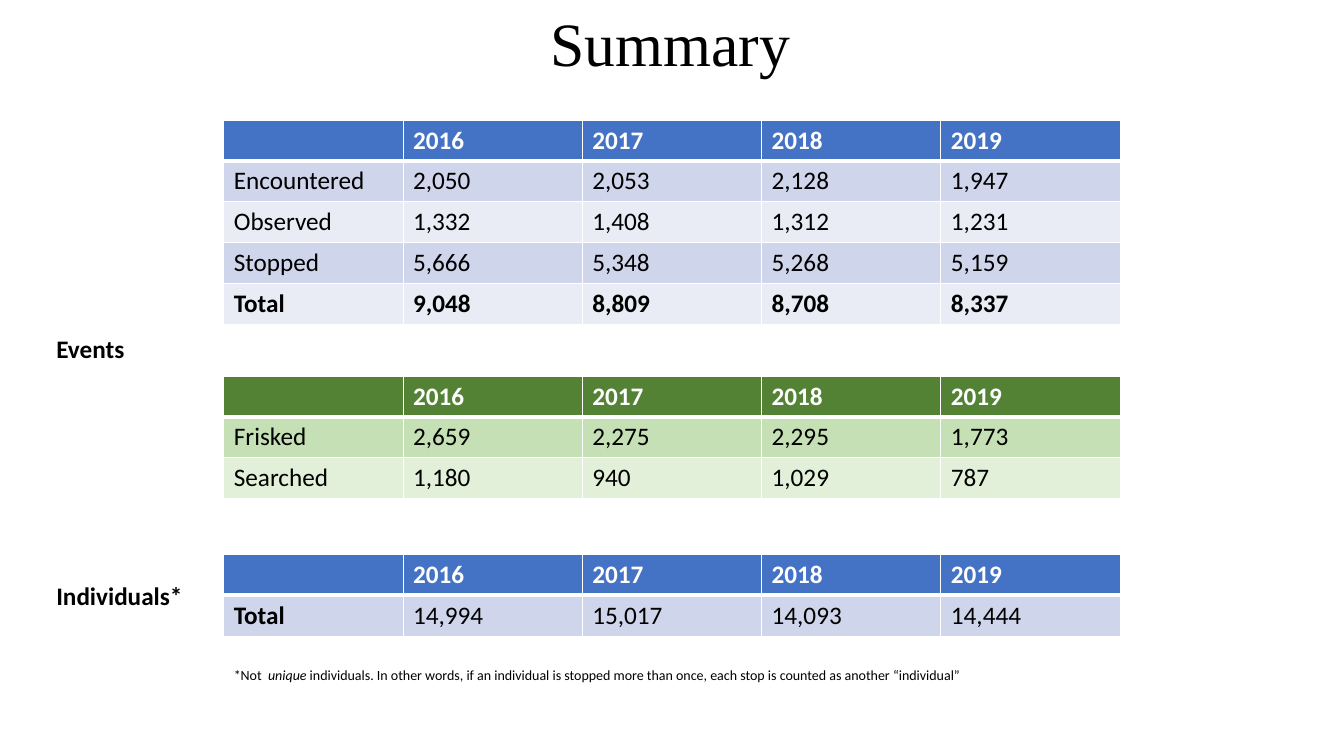
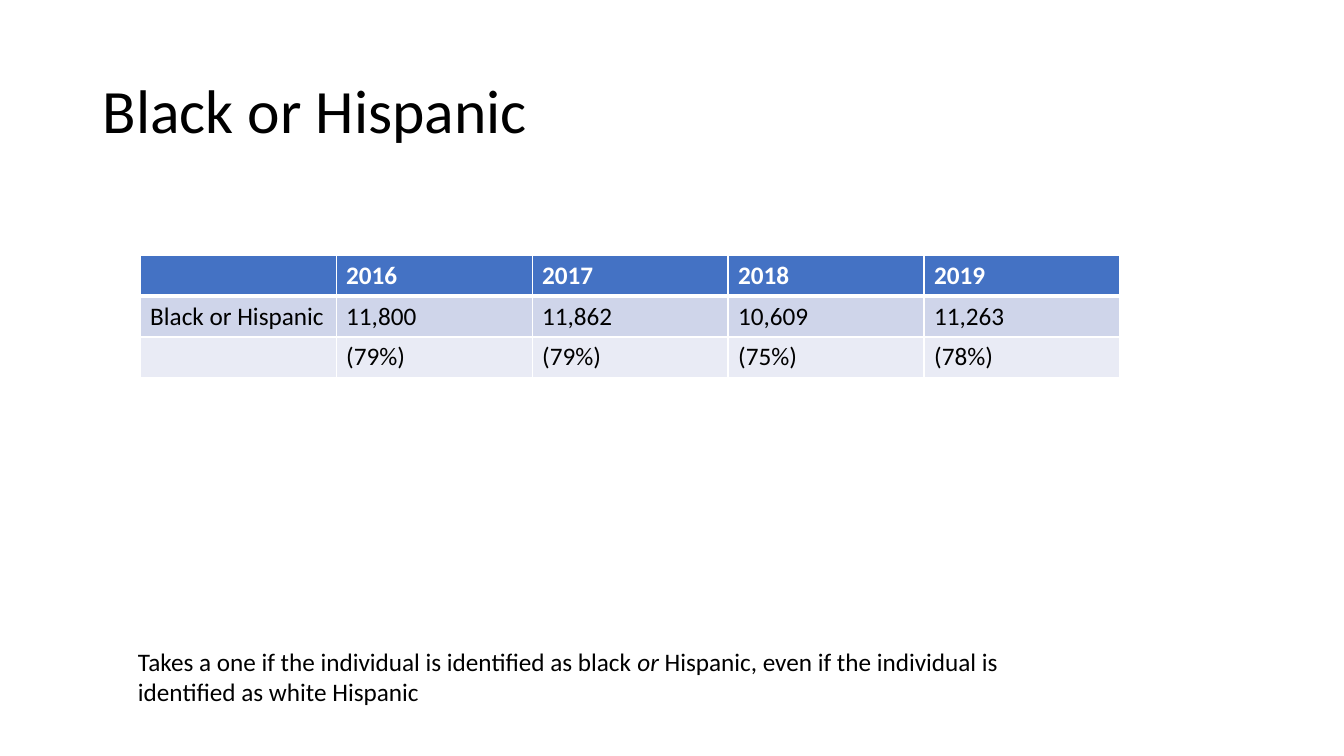
from dataclasses import dataclass
from typing import NamedTuple

from lxml.etree import SubElement
from pptx import Presentation
from pptx.dml.color import RGBColor
from pptx.enum.text import MSO_ANCHOR, MSO_AUTO_SIZE, PP_ALIGN
from pptx.oxml.ns import qn
from pptx.util import Inches, Pt


# Theme
class Bands(NamedTuple):
    head: str
    odd: str
    even: str


@dataclass(frozen=True)
class Theme:
    blue: Bands = Bands("4472C4", "CFD5EA", "E9EBF5")
    green: Bands = Bands("548235", "C5E0B4", "E2F0D9")
    ink: str = "000000"
    white: str = "FFFFFF"
    sans: str = "Calibri"
    serif: str = "Times New Roman"
    title: float = 44
    body: float = 18
    note: float = 10
    rule: float = 1
    thick: float = 3


THEME = Theme()
YEARS = ("2016", "2017", "2018", "2019")


# Parts
class Box(NamedTuple):
    left: float
    top: float
    width: float
    height: float

    def place(self) -> list:
        return [Inches(side) for side in self]


class Row(NamedTuple):
    cells: tuple
    bold: int = 0  # how many leading cells are bold


@dataclass(frozen=True)
class Grid:
    box: Box
    bands: Bands
    rows: tuple


@dataclass(frozen=True)
class Note:
    box: Box
    runs: tuple  # every second run is italic
    size: float = THEME.body
    bold: bool = False


@dataclass(frozen=True)
class Title:
    box: Box
    text: str
    face: str
    anchor: MSO_ANCHOR
    space: float


@dataclass(frozen=True)
class Page:
    title: Title
    grids: tuple
    notes: tuple


# Drawing
def style(para, size: float, color: str = THEME.ink, bold: bool = False,
          face: str = THEME.sans) -> None:
    font = para.font
    font.name, font.size, font.bold = face, Pt(size), bold
    font.color.rgb = RGBColor.from_string(color)


def edge(cell, is_head: bool) -> None:
    props = cell._tc.get_or_add_tcPr()
    for side in ("lnL", "lnR", "lnT", "lnB"):
        width = THEME.thick if is_head and side == "lnB" else THEME.rule
        line = SubElement(props, qn(f"a:{side}"), w=str(Pt(width)))
        fill = SubElement(line, qn("a:solidFill"))
        SubElement(fill, qn("a:srgbClr"), val=THEME.white)


def draw_grid(slide, grid: Grid) -> None:
    rows = (Row(("", *YEARS), len(YEARS) + 1), *grid.rows)
    width = len(YEARS) + 1
    table = slide.shapes.add_table(len(rows), width, *grid.box.place()).table
    for col in table.columns:
        col.width = Inches(grid.box.width / width)
    for r, row in enumerate(rows):
        table.rows[r].height = Inches(grid.box.height / len(rows))
        is_head = r == 0
        if is_head:
            shade = grid.bands.head
        else:
            shade = grid.bands.odd if r % 2 else grid.bands.even
        for c, text in enumerate(row.cells):
            cell = table.cell(r, c)
            edge(cell, is_head)
            cell.fill.solid()
            cell.fill.fore_color.rgb = RGBColor.from_string(shade)
            cell.text = text
            style(cell.text_frame.paragraphs[0], THEME.body,
                  THEME.white if is_head else THEME.ink, c < row.bold)


def draw_note(slide, note: Note) -> None:
    frame = slide.shapes.add_textbox(*note.box.place()).text_frame
    frame.word_wrap = True
    para = frame.paragraphs[0]
    style(para, note.size, bold=note.bold)
    for i, text in enumerate(note.runs):
        run = para.add_run()
        run.text = text
        if i % 2:
            run.font.italic = True


def draw_title(slide, title: Title) -> None:
    shape = slide.shapes.title
    shape.left, shape.top, shape.width, shape.height = title.box.place()
    frame = shape.text_frame
    frame.text = title.text
    frame.word_wrap = True
    frame.auto_size = MSO_AUTO_SIZE.NONE
    frame.vertical_anchor = title.anchor
    para = frame.paragraphs[0]
    para.alignment = PP_ALIGN.LEFT
    para.line_spacing = title.space
    style(para, THEME.title, face=title.face)


# Content
PAGES = (
    Page(
        Title(Box(5.36, 0, 4.83, 0.84), "Summary", THEME.serif,
              MSO_ANCHOR.TOP, 1.0),
        (
            Grid(Box(2.22, 1.19, 8.89, 2.03), THEME.blue, (
                Row(("Encountered", "2,050", "2,053", "2,128", "1,947")),
                Row(("Observed", "1,332", "1,408", "1,312", "1,231")),
                Row(("Stopped", "5,666", "5,348", "5,268", "5,159")),
                Row(("Total", "9,048", "8,809", "8,708", "8,337"), 5),
            )),
            Grid(Box(2.22, 3.73, 8.89, 1.22), THEME.green, (
                Row(("Frisked", "2,659", "2,275", "2,295", "1,773")),
                Row(("Searched", "1,180", "940", "1,029", "787")),
            )),
            Grid(Box(2.22, 5.5, 8.89, 0.81), THEME.blue, (
                Row(("Total", "14,994", "15,017", "14,093", "14,444"), 1),
            )),
        ),
        (
            Note(Box(0.46, 3.26, 2.61, 0.4), ("Events",), bold=True),
            Note(Box(0.46, 5.71, 2.61, 0.4), ("Individuals*",), bold=True),
            Note(Box(2.22, 6.56, 9.05, 0.27), (
                "*Not  ", "unique",
                " individuals. In other words, if an individual is stopped "
                "more than once, each stop is counted as another "
                "“individual”"), THEME.note),
        ),
    ),
    Page(
        Title(Box(0.92, 0.4, 11.5, 1.45), "Black or Hispanic", THEME.sans,
              MSO_ANCHOR.MIDDLE, 0.9),
        (
            Grid(Box(1.39, 2.53, 9.72, 1.22), THEME.blue, (
                Row(("Black or Hispanic", "11,800", "11,862", "10,609",
                     "11,263")),
                Row(("", "(79%)", "(79%)", "(75%)", "(78%)")),
            )),
        ),
        (
            Note(Box(1.27, 6.36, 9.72, 0.71), (
                "Takes a one if the individual is identified as black ", "or",
                " Hispanic, even if the individual is identified as white "
                "Hispanic")),
        ),
    ),
)


# Build
deck = Presentation()
deck.slide_width, deck.slide_height = Inches(13.33), Inches(7.5)
layout = deck.slide_layouts.get_by_name("Title Only")
for page in PAGES:
    slide = deck.slides.add_slide(layout)
    draw_title(slide, page.title)
    for grid in page.grids:
        draw_grid(slide, grid)
    for note in page.notes:
        draw_note(slide, note)
deck.save("out.pptx")
